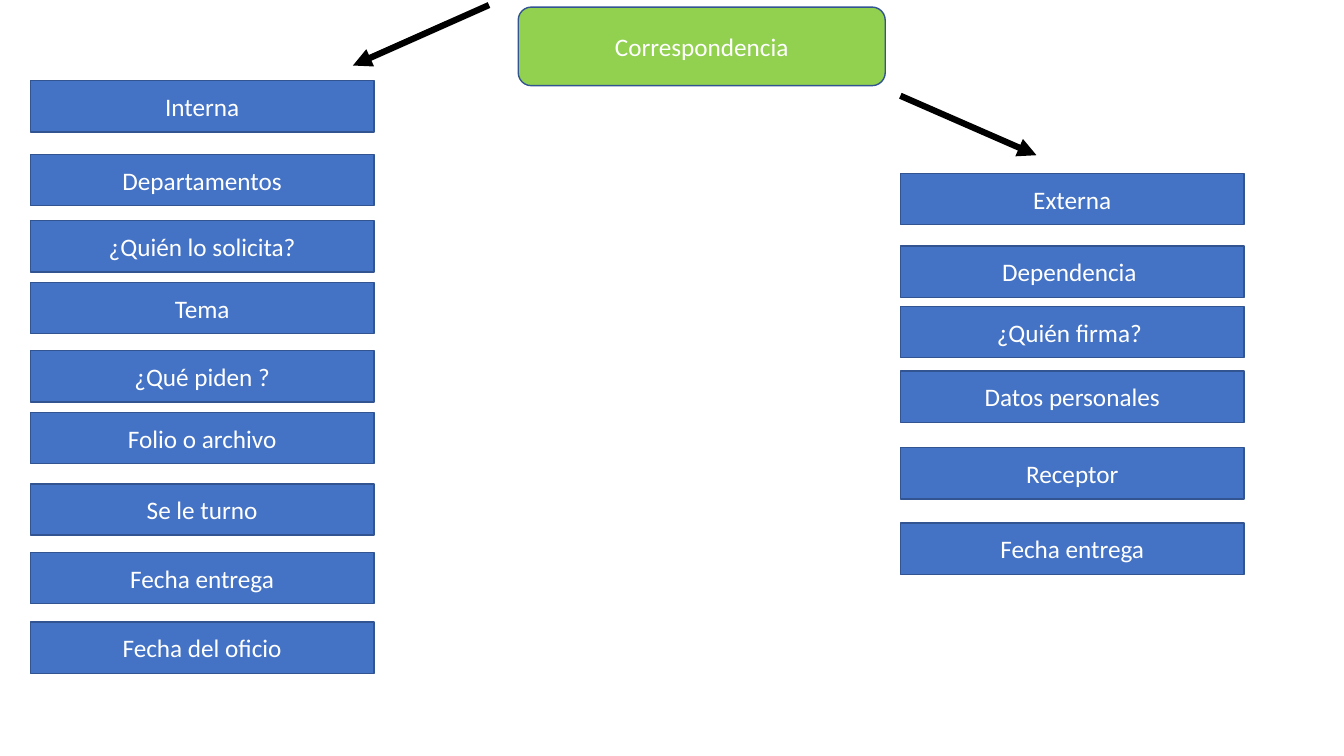
from lxml import etree
from pptx import Presentation
from pptx.dml.color import RGBColor
from pptx.enum import shapes, text
from pptx.oxml import ns
from pptx.util import Inches, Pt

GREEN = RGBColor(0x92, 0xD0, 0x50)
BLUE = RGBColor(0x44, 0x72, 0xC4)
EDGE = RGBColor(0x32, 0x54, 0x91)
WHITE = RGBColor(0xFF, 0xFF, 0xFF)
BLACK = RGBColor(0, 0, 0)

TITLE = "Correspondencia"
COLUMNS = [
    (0.3, [
        ("Interna", 0.8),
        ("Departamentos", 1.53),
        ("¿Quién lo solicita?", 2.19),
        ("Tema", 2.8),
        ("¿Qué piden ?", 3.48),
        ("Folio o archivo", 4.09),
        ("Se le turno", 4.8),
        ("Fecha entrega", 5.48),
        ("Fecha del oficio", 6.17),
    ]),
    (8.93, [
        ("Externa", 1.72),
        ("Dependencia ", 2.44),
        ("¿Quién firma? ", 3.04),
        ("Datos personales", 3.68),
        ("Receptor", 4.44),
        ("Fecha entrega", 5.19),
    ]),
]
ARROWS = [(4.85, 0.05, 3.5, 0.65), (8.93, 0.95, 10.28, 1.54)]
WIDE, HIGH = 3.41, 0.51

deck = Presentation()
deck.slide_width, deck.slide_height = Inches(13.33), Inches(7.5)
slide = deck.slides.add_slide(deck.slide_layouts[6])


def add_box(kind, label, spot, fill):
    box = slide.shapes.add_shape(kind, *map(Inches, spot))
    box.shadow.inherit = False
    box.fill.solid()
    box.fill.fore_color.rgb = fill
    box.line.color.rgb = EDGE
    box.line.width = Pt(1)
    frame = box.text_frame
    frame.word_wrap = True
    frame.vertical_anchor = text.MSO_ANCHOR.MIDDLE
    line = frame.paragraphs[0]
    line.text = label
    line.alignment = text.PP_ALIGN.CENTER
    line.font.name = "Calibri"
    line.font.size = Pt(18)
    line.font.color.rgb = WHITE


def add_arrow(ends):
    arrow = slide.shapes.add_connector(
        shapes.MSO_CONNECTOR.STRAIGHT, *map(Inches, ends))
    arrow.line.color.rgb = BLACK
    arrow.line.width = Pt(4.5)
    props = arrow.element.spPr
    head = etree.SubElement(props.find(ns.qn("a:ln")), ns.qn("a:tailEnd"))
    head.set("type", "triangle")
    etree.SubElement(props, ns.qn("a:effectLst"))


add_box(shapes.MSO_SHAPE.ROUNDED_RECTANGLE, TITLE,
        (5.14, 0.07, 3.64, 0.78), GREEN)
for left, items in COLUMNS:
    for label, top in items:
        add_box(shapes.MSO_SHAPE.RECTANGLE, label,
                (left, top, WIDE, HIGH), BLUE)
for ends in ARROWS:
    add_arrow(ends)

deck.save("out.pptx")
